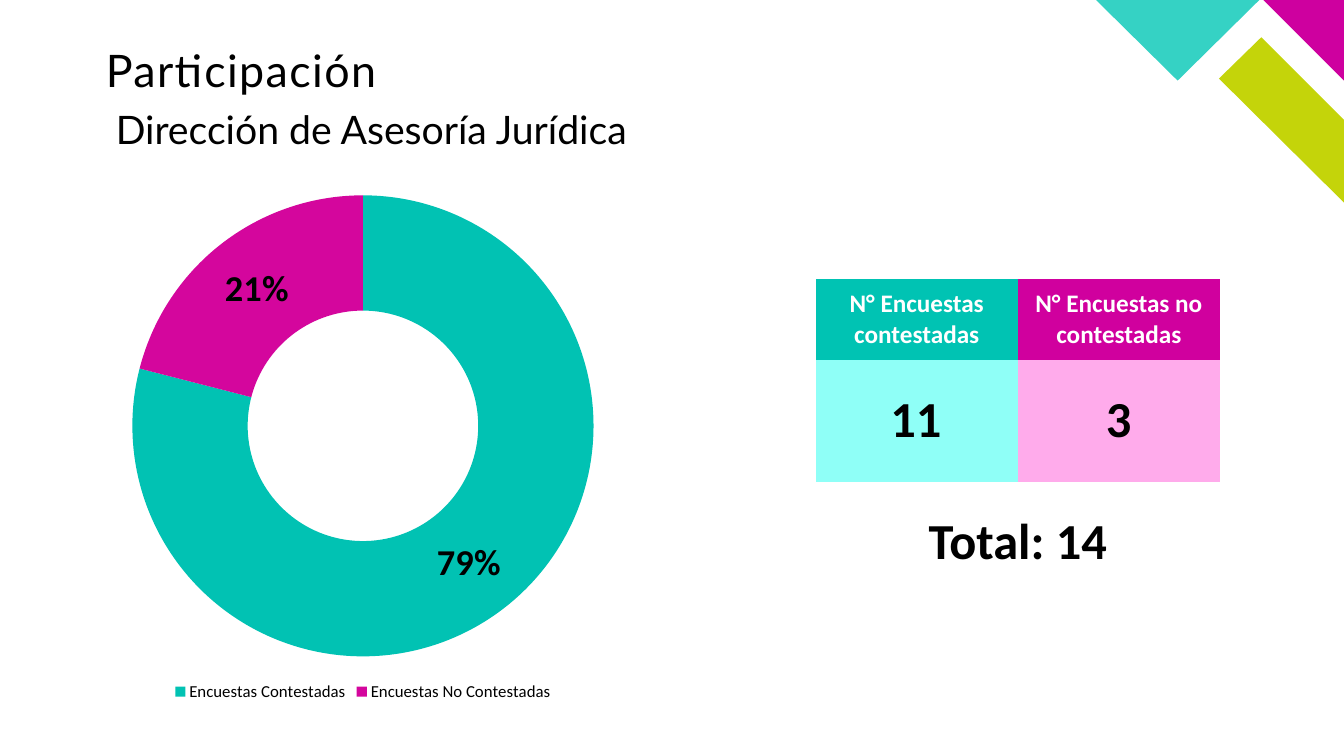
from dataclasses import dataclass

from pptx import Presentation
from pptx import util as u
from pptx.chart import data as chart_data
from pptx.dml.color import RGBColor
from pptx.enum import chart as chart_enum
from pptx.enum import text
from pptx.util import Inches


@dataclass(frozen=True)
class Theme:
    """Colours, fonts and type sizes of the slide."""
    black: str = "000000"
    white: str = "FFFFFF"
    lime: str = "C4D40A"
    corner_magenta: str = "CE009F"
    corner_teal: str = "35D2C4"
    headers: tuple = ("00C3B3", "D0009E")
    cells: tuple = ("8FFFF7", "FFABEB")
    slices: tuple = ("01C2B3", "D4069D")
    heading_font: str = "Lato"
    body_font: str = "Calibri"
    title_size: int = 32
    subtitle_size: int = 28
    number_size: int = 36
    header_size: int = 18
    label_size: int = 26
    legend_size: int = 12


THEME = Theme()
PLAIN_TABLE_STYLE = "{2D5ABB26-0587-4C30-8999-92F81FD0307C}"


def paint(fill, color):
    """Give a fill one solid colour."""
    fill.solid()
    fill.fore_color.rgb = RGBColor.from_string(color)


def style_font(font, size, color=THEME.black, name=THEME.body_font, bold=False):
    """Set the face, size, weight and colour of a font."""
    font.name, font.size, font.bold = name, u.Pt(size), bold
    font.color.rgb = RGBColor.from_string(color)


def write(frame, content, align="CENTER", anchor="MIDDLE", line_spacing=0.9,
          tracking=None, **font_format):
    """Write one formatted paragraph into a text frame."""
    frame.word_wrap = True
    frame.vertical_anchor = text.MSO_ANCHOR[anchor]
    paragraph = frame.paragraphs[0]
    paragraph.alignment = text.PP_ALIGN[align]
    paragraph.line_spacing = line_spacing
    run = paragraph.add_run()
    run.text = content
    style_font(run.font, **font_format)
    if tracking:
        run.font._element.set("spc", str(tracking * 100))


def add_text(slide, box, content, **text_format):
    """Add a text box at left, top, width, height in inches."""
    shape = slide.shapes.add_textbox(*map(Inches, box))
    write(shape.text_frame, content, **text_format)


def add_polygon(slide, points, color):
    """Add a filled outline through points in inches."""
    start, *others = [(Inches(x), Inches(y)) for x, y in points]
    builder = slide.shapes.build_freeform(*start)
    builder.add_line_segments(others, close=True)
    shape = builder.convert_to_shape()
    shape.shadow.inherit = False
    paint(shape.fill, color)
    shape.line.fill.background()


def add_title(slide, content):
    """Place and fill the title placeholder."""
    title = slide.shapes.title
    title.left, title.top, title.width, title.height = map(Inches, (1.05, 0.48, 5.61, 0.67))
    frame = title.text_frame
    frame.margin_left = frame.margin_top = frame.margin_right = frame.margin_bottom = 0
    frame.auto_size = text.MSO_AUTO_SIZE.NONE
    write(frame, content, align="LEFT", anchor="TOP", tracking=1,
          size=THEME.title_size, name=THEME.heading_font)


def add_survey_table(slide, headers):
    """Add the header row and the coloured cells behind the counts."""
    frame = slide.shapes.add_table(2, 2, *map(Inches, (8.09, 2.77, 4.01, 2.01)))
    table = frame.table
    table._tbl.tblPr.find("{*}tableStyleId").text = PLAIN_TABLE_STYLE
    for row, height in zip(table.rows, (0.8, 1.21)):
        row.height = Inches(height)
    for column, header in enumerate(headers):
        cell = table.cell(0, column)
        write(cell.text_frame, header, line_spacing=1.0, size=THEME.header_size,
              color=THEME.white, bold=True)
        cell.vertical_anchor = text.MSO_ANCHOR.MIDDLE
        paint(cell.fill, THEME.headers[column])
        paint(table.cell(1, column).fill, THEME.cells[column])


def add_doughnut(slide, shares):
    """Add the participation doughnut with its labels and legend."""
    data = chart_data.CategoryChartData(number_format="0%")
    data.categories = list(shares)
    data.add_series("Series 1", list(shares.values()))
    chart = slide.shapes.add_chart(chart_enum.XL_CHART_TYPE.DOUGHNUT,
                                   *map(Inches, (1, 1.8, 5.2, 5.2)), data).chart
    style_font(chart.font, THEME.header_size, THEME.white)
    chart.has_title = False
    chart.has_legend = True
    chart.legend.position = chart_enum.XL_LEGEND_POSITION.BOTTOM
    chart.legend.include_in_layout = False
    style_font(chart.legend.font, THEME.legend_size)
    plot = chart.plots[0]
    plot.vary_by_categories = True
    series = plot.series[0]
    for index, color in enumerate(THEME.slices):
        point_format = series.points[index].format
        paint(point_format.fill, color)
        point_format.line.fill.background()
    labels = series.data_labels
    labels.show_value = True
    labels.show_percentage = False
    labels.number_format = "0%"
    labels.number_format_is_linked = False
    style_font(labels.font, THEME.label_size, bold=True)


def main():
    """Build and save the participation slide."""
    presentation = Presentation()
    presentation.slide_width, presentation.slide_height = Inches(13.33), Inches(7.5)
    slide = presentation.slides.add_slide(presentation.slide_layouts[5])
    paint(slide.background.fill, THEME.white)
    add_polygon(slide, [(13.33, 2.01), (13.33, 1.19), (12.51, 0.37), (12.09, 0.78)], THEME.lime)
    add_polygon(slide, [(13.33, 0.8), (13.33, 0), (12.53, 0)], THEME.corner_magenta)
    add_polygon(slide, [(10.87, 0), (11.68, 0.8), (12.49, 0)], THEME.corner_teal)
    add_survey_table(slide, ["N° Encuestas contestadas", "N° Encuestas no contestadas"])
    add_title(slide, "Participación")
    for box, content in [((8.09, 3.57, 1.99, 1.21), "11"),
                         ((10.1, 3.57, 1.99, 1.21), "3"),
                         ((8.09, 4.78, 4.01, 1.21), "Total: 14")]:
        add_text(slide, box, content, size=THEME.number_size, bold=True)
    add_text(slide, (1.05, 1.05, 9.78, 0.96), "Dirección de Asesoría Jurídica", align="LEFT",
             anchor="TOP", size=THEME.subtitle_size, name=THEME.heading_font)
    add_doughnut(slide, {"Encuestas Contestadas": 0.79, "Encuestas No Contestadas": 0.21})
    presentation.save("out.pptx")


if __name__ == "__main__":
    main()
